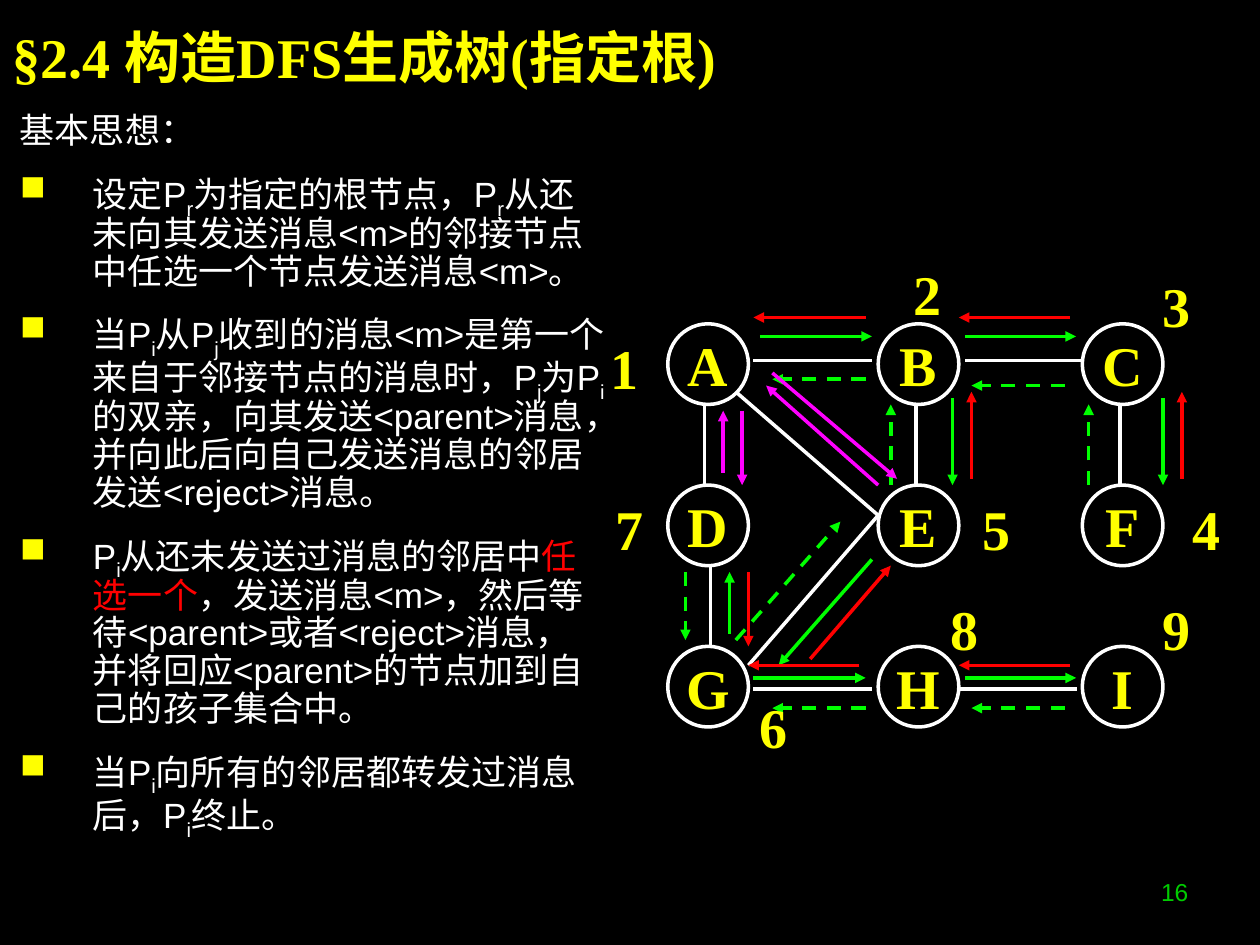
"""Build the slide on constructing a DFS spanning tree from a given root."""
from lxml import etree
from pptx import Presentation
from pptx.dml.color import RGBColor
from pptx.enum.dml import MSO_LINE
from pptx.enum.shapes import MSO_CONNECTOR, MSO_SHAPE
from pptx.enum.text import MSO_ANCHOR, PP_ALIGN
from pptx.oxml.ns import qn
from pptx.util import Inches, Pt

STRAIGHT, OVAL = MSO_CONNECTOR.STRAIGHT, MSO_SHAPE.OVAL
MIDDLE, TOP = MSO_ANCHOR.MIDDLE, MSO_ANCHOR.TOP
LEFT, CENTER, RIGHT = PP_ALIGN.LEFT, PP_ALIGN.CENTER, PP_ALIGN.RIGHT
DASH = MSO_LINE.DASH
SERIF, SANS = "Times New Roman", "Arial"
BLACK, WHITE, YELLOW = "000000", "FFFFFF", "FFFF00"
RED, GREEN, MAGENTA, DARK_GREEN = "FF0000", "00FF00", "FF00FF", "00CC00"

TITLE = "§2.4 构造DFS生成树(指定根)"
PAGE_NUMBER = "16"
HEADING = "基本思想："
# _x_ marks a subscript, *x* marks red text
STEPS = [
    "设定P_r_为指定的根节点，P_r_从还未向其发送消息<m>的邻接节点中任选一个节点发送消息<m>。",
    "当P_i_从P_j_收到的消息<m>是第一个来自于邻接节点的消息时，P_j_为P_i_的双亲，"
    "向其发送<parent>消息，并向此后向自己发送消息的邻居发送<reject>消息。",
    "P_i_从还未发送过消息的邻居中*任选一个*，发送消息<m>，然后等待<parent>或者<reject>消息，"
    "并将回应<parent>的节点加到自己的孩子集合中。",
    "当P_i_向所有的邻居都转发过消息后，P_i_终止。",
]

NODE_ROWS = ["ABC", "DEF", "GHI"]
COLUMN_LEFTS = [5.3, 6.97, 8.59]
FIRST_ROW_TOP, ROW_STEP, NODE_SIZE = 2.57, 1.28, 0.64
VISIT_SIZE = 0.59
VISIT_ORDER = [
    (4.66, 2.62), (7.07, 2.03), (9.04, 2.13), (9.28, 3.9), (7.61, 3.9),
    (5.84, 5.47), (4.7, 3.9), (7.36, 4.69), (9.04, 4.69),
]

EDGES = [
    (5.98, 2.86, 6.92, 2.86), (7.66, 2.86, 8.59, 2.86),
    (5.98, 5.47, 6.92, 5.47), (7.61, 5.47, 8.55, 5.47),
    (5.59, 3.21, 5.59, 3.85), (7.27, 3.21, 7.27, 3.85),
    (8.89, 3.21, 8.89, 3.85), (5.64, 4.49, 5.64, 5.13),
    (5.84, 3.11, 6.97, 4.09), (6.97, 4.09, 5.94, 5.28),
]
FORWARD = [
    (6.03, 2.67, 6.92, 2.67), (7.66, 2.67, 8.54, 2.67),
    (9.23, 3.16, 9.23, 3.85), (7.56, 3.16, 7.56, 3.85),
    (6.92, 4.44, 6.18, 5.28), (5.79, 5.03, 5.79, 4.54),
    (5.98, 5.38, 6.87, 5.38), (7.66, 5.38, 8.54, 5.38),
]
PARENT = [
    (8.64, 3.85, 8.64, 3.21), (8.45, 3.06, 7.71, 3.06),
    (5.44, 4.54, 5.44, 5.08), (8.45, 5.62, 7.71, 5.62),
    (6.87, 5.62, 6.13, 5.62), (5.84, 5.08, 6.67, 4.14),
    (7.07, 3.85, 7.07, 3.21), (6.87, 3.01, 6.13, 3.01),
]
BACKTRACK = [
    (6.87, 2.52, 5.98, 2.52), (8.49, 2.52, 7.61, 2.52),
    (9.38, 3.8, 9.38, 3.11), (7.71, 3.8, 7.71, 3.11),
    (6.43, 5.23, 7.07, 4.49), (5.94, 4.54, 5.94, 5.13),
    (6.82, 5.28, 5.94, 5.28), (8.49, 5.28, 7.61, 5.28),
]
REJECT = [
    (5.74, 3.75, 5.74, 3.26), (5.89, 3.26, 5.89, 3.85),
    (6.97, 3.85, 6.08, 3.06), (6.13, 2.96, 7.12, 3.8),
]
LINE_GROUPS = [
    (EDGES, WHITE, False, False), (FORWARD, GREEN, True, False),
    (PARENT, GREEN, True, True), (BACKTRACK, RED, True, False),
    (REJECT, MAGENTA, True, False),
]


def color(value):
    return RGBColor.from_string(value)


def style(paragraph, font, size, hue, bold=False, align=LEFT):
    paragraph.alignment = align
    paragraph.font.name = font
    paragraph.font.size = Pt(size)
    paragraph.font.bold = bold
    paragraph.font.color.rgb = color(hue)


def write(shape, text, font, size, hue, bold=False, align=CENTER, wrap=False):
    frame = shape.text_frame
    frame.word_wrap = wrap
    frame.vertical_anchor = MIDDLE
    frame.text = text
    style(frame.paragraphs[0], font, size, hue, bold, align)


def add_box(page, *place):
    return page.shapes.add_textbox(*map(Inches, place))


def add_step(frame, text):
    paragraph = frame.add_paragraph()
    style(paragraph, SANS, 20, WHITE)
    paragraph.line_spacing = 0.9
    paragraph.space_before = Pt(12.5)
    for i, part in enumerate(text.split("*")):
        for j, piece in enumerate(part.split("_")):
            span = paragraph.add_run()
            span.text = piece
            if i % 2:
                span.font.color.rgb = color(RED)
            if j % 2:
                span.font._element.set("baseline", "-25000")
    properties = paragraph._p.get_or_add_pPr()
    properties.set("marL", str(Inches(0.58)))
    properties.set("indent", str(Inches(-0.58)))
    default_font = properties.find(qn("a:defRPr"))
    bullet_color = etree.Element(qn("a:buClr"))
    etree.SubElement(bullet_color, qn("a:srgbClr"), val=YELLOW)
    default_font.addprevious(bullet_color)
    default_font.addprevious(etree.Element(qn("a:buChar"), char="■"))


def add_line(page, ends, hue, arrow, dashed):
    line = page.shapes.add_connector(STRAIGHT, *map(Inches, ends))
    line.line.color.rgb = color(hue)
    line.line.width = Pt(2)
    if dashed:
        line.line.dash_style = DASH
    if arrow:
        etree.SubElement(line.line._get_or_add_ln(), qn("a:tailEnd"), type="triangle")
    etree.SubElement(line._element.spPr, qn("a:effectLst"))


def add_node(page, letter, left, top):
    node = page.shapes.add_shape(OVAL, *map(Inches, (left, top, NODE_SIZE, NODE_SIZE)))
    node.shadow.inherit = False
    node.fill.background()
    node.line.color.rgb = color(WHITE)
    node.line.width = Pt(2)
    write(node, letter, SERIF, 32, YELLOW, True)


def main():
    deck = Presentation()
    deck.slide_width, deck.slide_height = Inches(10), Inches(7.5)
    page = deck.slides.add_slide(deck.slide_layouts[6])
    page.background.fill.solid()
    page.background.fill.fore_color.rgb = color(BLACK)

    write(add_box(page, 7.2, 6.82, 2.33, 0.52), PAGE_NUMBER, SANS, 14, DARK_GREEN,
          align=RIGHT, wrap=True)
    write(add_box(page, 0, 0, 9, 0.89), TITLE, SERIF, 32, YELLOW, True, LEFT, True)
    body = add_box(page, 0.06, 0.85, 4.84, 6.65)
    write(body, HEADING, SANS, 20, WHITE, align=LEFT, wrap=True)
    body.text_frame.vertical_anchor = TOP
    body.text_frame.paragraphs[0].line_spacing = 0.9
    for step in STEPS:
        add_step(body.text_frame, step)

    for row, letters in enumerate(NODE_ROWS):
        for left, letter in zip(COLUMN_LEFTS, letters):
            add_node(page, letter, left, FIRST_ROW_TOP + row * ROW_STEP)
    for lines, hue, arrow, dashed in LINE_GROUPS:
        for ends in lines:
            add_line(page, ends, hue, arrow, dashed)
    for number, (left, top) in enumerate(VISIT_ORDER, 1):
        write(add_box(page, left, top, VISIT_SIZE, VISIT_SIZE), str(number),
              SERIF, 32, YELLOW, True)
    deck.save("out.pptx")


if __name__ == "__main__":
    main()
